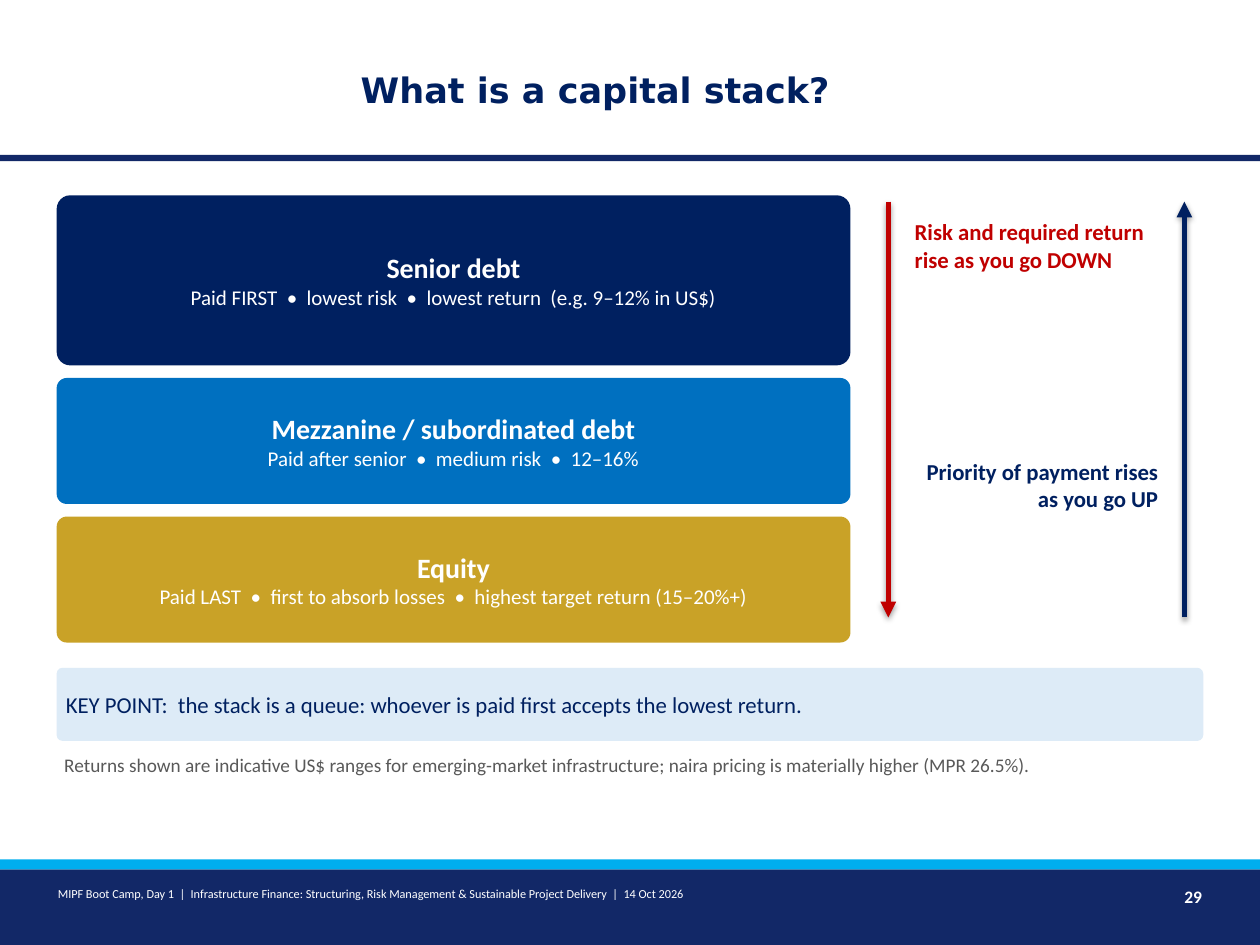
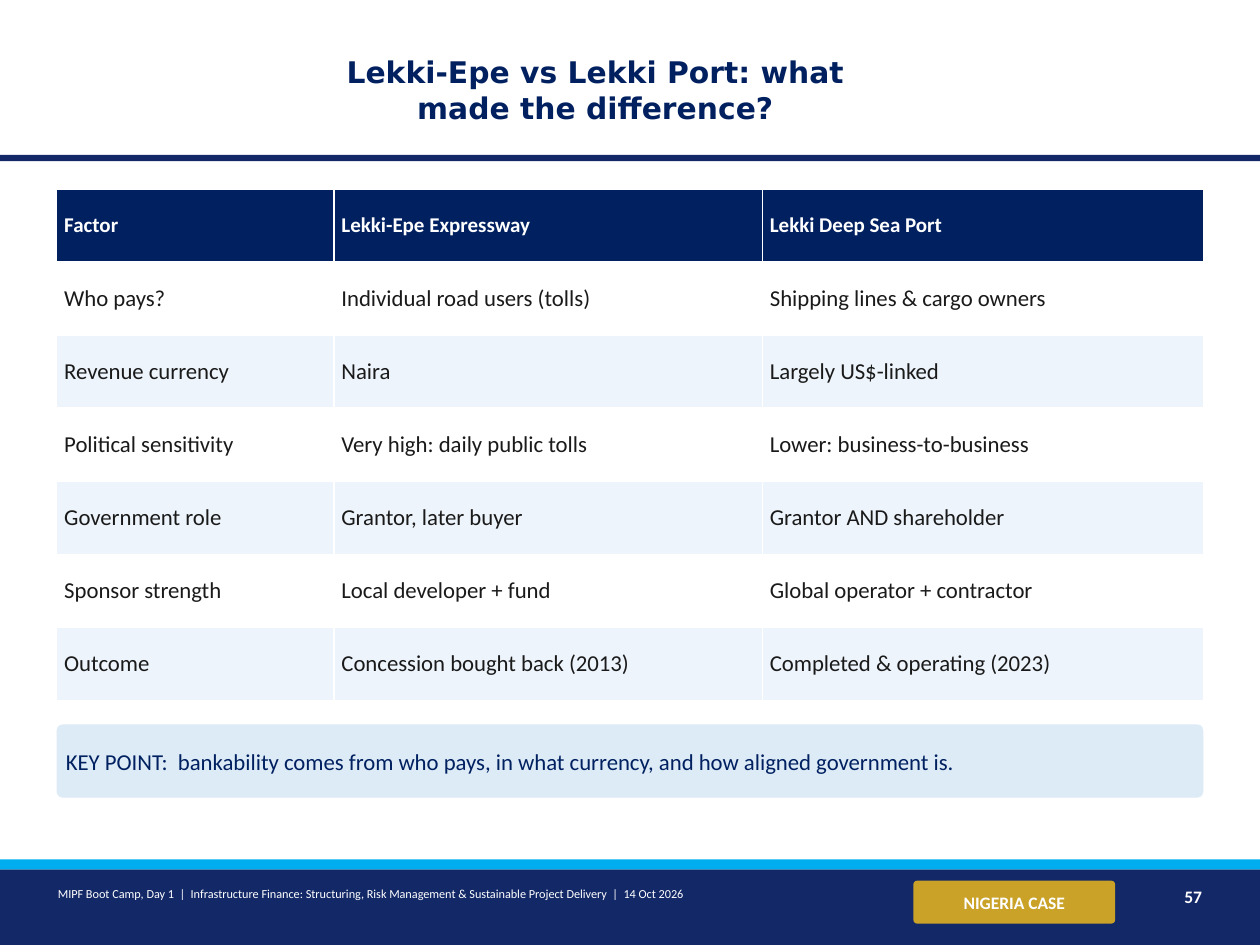
import pptx
import pptx.util
import pptx.dml.color
import pptx.enum.shapes
import pptx.enum.text
import pptx.oxml

Inches, Pt = pptx.util.Inches, pptx.util.Pt
SHAPE = pptx.enum.shapes.MSO_SHAPE
ALIGN = pptx.enum.text.PP_ALIGN
MIDDLE = pptx.enum.text.MSO_ANCHOR.MIDDLE
TOP = pptx.enum.text.MSO_ANCHOR.TOP

NAVY, BAND, CYAN, BLUE = "002060", "122867", "00AEEF", "0070C0"
GOLD, RED, PALE, STRIPE = "C9A227", "C00000", "DDEBF7", "EEF4FB"
WHITE, GREY, INK = "FFFFFF", "595959", "1A1A1A"
LEFT, WIDE = 0.45, 9.1

FOOTER = ("MIPF Boot Camp, Day 1  |  Infrastructure Finance: Structuring, "
          "Risk Management & Sustainable Project Delivery  |  14 Oct 2026")
LAYERS = [
    ("Senior debt",
     "Paid FIRST  •  lowest risk  •  lowest return  (e.g. 9–12% in US$)",
     NAVY, 1.35),
    ("Mezzanine / subordinated debt",
     "Paid after senior  •  medium risk  •  12–16%", BLUE, 1),
    ("Equity",
     "Paid LAST  •  first to absorb losses  •  "
     "highest target return (15–20%+)", GOLD, 1),
]
FACTORS = [
    ("Factor", "Lekki-Epe Expressway", "Lekki Deep Sea Port"),
    ("Who pays?", "Individual road users (tolls)",
     "Shipping lines & cargo owners"),
    ("Revenue currency", "Naira", "Largely US$-linked"),
    ("Political sensitivity", "Very high: daily public tolls",
     "Lower: business-to-business"),
    ("Government role", "Grantor, later buyer", "Grantor AND shareholder"),
    ("Sponsor strength", "Local developer + fund",
     "Global operator + contractor"),
    ("Outcome", "Concession bought back (2013)",
     "Completed & operating (2023)"),
]


def tint(text):
    return pptx.dml.color.RGBColor.from_string(text)


def assign(item, values):
    for name, value in values.items():
        setattr(item, name, value)


def inset(item, x=0.06, y=0.03):
    assign(item, {"margin_left": Inches(x), "margin_right": Inches(x),
                  "margin_top": Inches(y), "margin_bottom": Inches(y)})


def style(para, text, size, color, bold=False, align=ALIGN.LEFT,
          face="Calibri"):
    para.alignment = align
    run = para.add_run()
    run.text = text
    assign(run.font, {"size": Pt(size), "bold": bold, "name": face})
    run.font.color.rgb = tint(color)


def write(frame, lines, anchor):
    """Fill a text frame; each line holds the arguments of style."""
    assign(frame, {"word_wrap": True, "vertical_anchor": anchor})
    inset(frame)
    for spot, line in enumerate(lines):
        para = frame.add_paragraph() if spot else frame.paragraphs[0]
        style(para, *line)


def block(slide, box, fill, lines=(), kind=SHAPE.ROUNDED_RECTANGLE):
    shape = slide.shapes.add_shape(kind, *map(Inches, box))
    shape.shadow.inherit = False
    shape.fill.solid()
    shape.fill.fore_color.rgb = tint(fill)
    shape.line.fill.background()
    if kind == SHAPE.ROUNDED_RECTANGLE:
        shape.adjustments[0] = 0.08
    if lines:
        write(shape.text_frame, lines, MIDDLE)


def label(slide, box, *line, anchor=TOP):
    frame = slide.shapes.add_textbox(*map(Inches, box)).text_frame
    write(frame, [line], anchor)
    return frame


def arrow(slide, x, start, end, color):
    """Draw an upright arrow with a soft shadow."""
    line = slide.shapes.add_connector(
        pptx.enum.shapes.MSO_CONNECTOR.STRAIGHT,
        *map(Inches, (x, start, x, end)))
    line.line.width = Pt(3)
    line.line.color.rgb = tint(color)
    space = 'xmlns:a="http://schemas.openxmlformats.org/drawingml/2006/main"'
    line.line._get_or_add_ln().append(pptx.oxml.parse_xml(
        f'<a:tailEnd {space} type="triangle"/>'))
    line._element.spPr.append(pptx.oxml.parse_xml(
        f'<a:effectLst {space}><a:outerShdw blurRad="40000" dist="20000" '
        'dir="5400000" rotWithShape="0"><a:srgbClr val="000000">'
        '<a:alpha val="38000"/></a:srgbClr></a:outerShdw></a:effectLst>'))


def start(deck, title, size, page):
    """Add a slide with its title, bands and footer."""
    slide = deck.slides.add_slide(deck.slide_layouts[6])
    for top, high, fill in ((1.23, 0.05, BAND), (6.9, 0.6, BAND),
                            (6.82, 0.08, CYAN)):
        block(slide, (0, top, 10, high), fill, kind=SHAPE.RECTANGLE)
    head = label(slide, (2.3, 0.22, 4.85, 0.98), title, size, NAVY, True,
                 ALIGN.CENTER, "DejaVu Sans", anchor=MIDDLE)
    inset(head, 0.1, 0.05)
    label(slide, (0.4, 7, 6.8, 0.35), FOOTER, 7, WHITE)
    label(slide, (9, 7, 0.6, 0.35), page, 10, WHITE, True, ALIGN.RIGHT)
    return slide


def point(slide, top, text):
    block(slide, (LEFT, top, WIDE, 0.58), PALE,
          [("KEY POINT:  " + text, 13, NAVY)])


def stack(slide, x, y, wide, gap=0.1):
    for name, terms, fill, high in LAYERS:
        block(slide, (x, y, wide, high), fill,
              [(name, 16, WHITE, True, ALIGN.CENTER),
               (terms, 12, WHITE, False, ALIGN.CENTER)])
        y += high + gap


def trends(slide, x, y, wide, high):
    """Place the two opposed arrows and their labels in a box."""
    arrow(slide, x, y, y + high, RED)
    label(slide, (x + 0.15, y + 0.1, wide - 0.4, 1.4),
          "Risk and required return rise as you go DOWN", 13, RED, True)
    arrow(slide, x + wide, y + high, y, NAVY)
    label(slide, (x + 0.15, y + 2, wide - 0.3, 1.2),
          "Priority of payment rises as you go UP", 13, NAVY, True,
          ALIGN.RIGHT)


def grid(slide, x, y, widths, high):
    table = slide.shapes.add_table(
        len(FACTORS), len(widths), Inches(x), Inches(y),
        Inches(sum(widths)), Inches(high * len(FACTORS))).table
    table.horz_banding = False
    for column, wide in zip(table.columns, widths):
        column.width = Inches(wide)
    for i, row in enumerate(FACTORS):
        table.rows[i].height = Inches(high)
        fill = (WHITE if i % 2 else STRIPE) if i else NAVY
        look = (13, INK) if i else (12, WHITE, True)
        for j, text in enumerate(row):
            cell = table.cell(i, j)
            cell.fill.solid()
            cell.fill.fore_color.rgb = tint(fill)
            cell.vertical_anchor = MIDDLE
            inset(cell)
            style(cell.text_frame.paragraphs[0], text, *look)


def capital(deck):
    slide = start(deck, "What is a capital stack?", 20, "29")
    stack(slide, LEFT, 1.55, 6.3)
    trends(slide, 7.05, 1.6, 2.35, 3.3)
    point(slide, 5.3, "the stack is a queue: whoever is paid first accepts "
          "the lowest return.")
    label(slide, (LEFT, 5.95, WIDE, 0.6),
          "Returns shown are indicative US$ ranges for emerging-market "
          "infrastructure; naira pricing is materially higher (MPR 26.5%).",
          11, GREY)


def compare(deck):
    slide = start(deck, "Lekki-Epe vs Lekki Port: what made the difference?",
                  17, "57")
    block(slide, (7.25, 6.99, 1.6, 0.34), GOLD,
          [("NIGERIA CASE", 10, WHITE, True, ALIGN.CENTER)])
    grid(slide, LEFT, 1.5, (2.2, 3.4, 3.5), 0.58)
    point(slide, 5.75, "bankability comes from who pays, in what currency, "
          "and how aligned government is.")


def main():
    deck = pptx.Presentation()
    assign(deck, {"slide_width": Inches(10), "slide_height": Inches(7.5)})
    capital(deck)
    compare(deck)
    deck.save("out.pptx")


if __name__ == "__main__":
    main()
